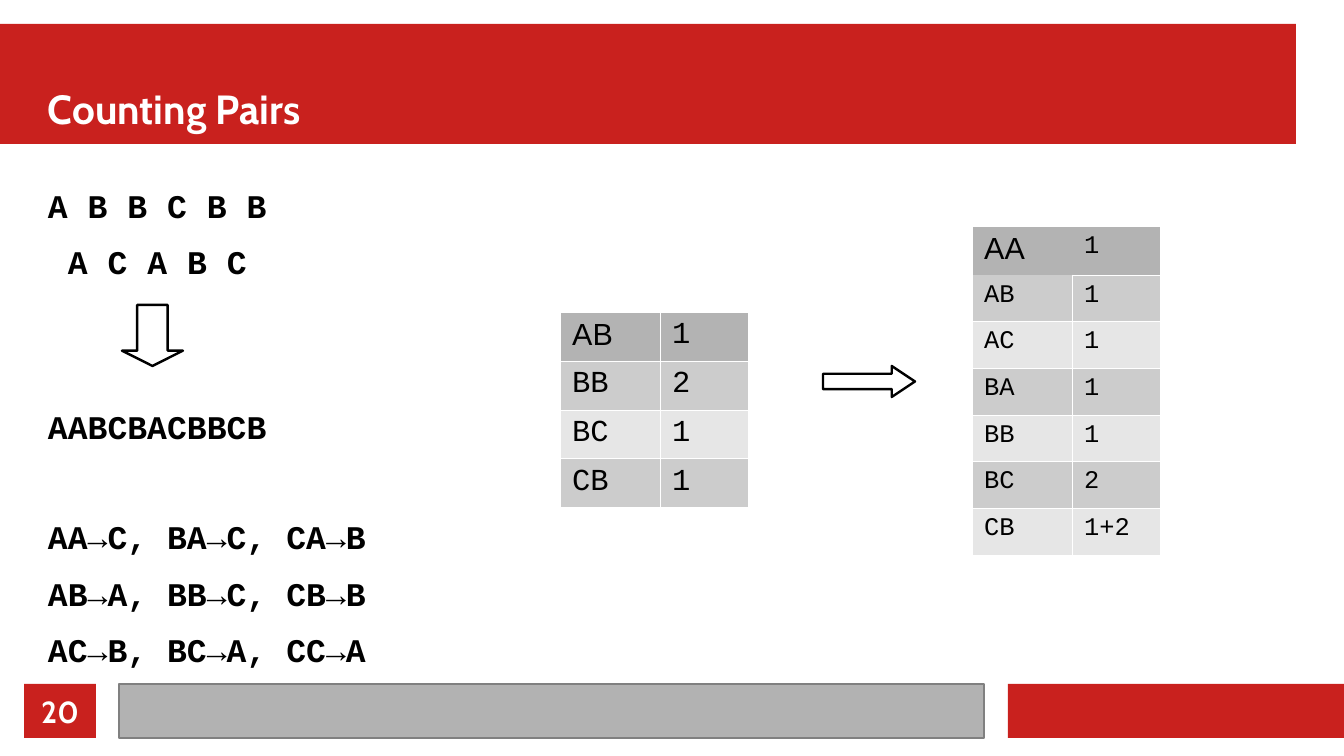
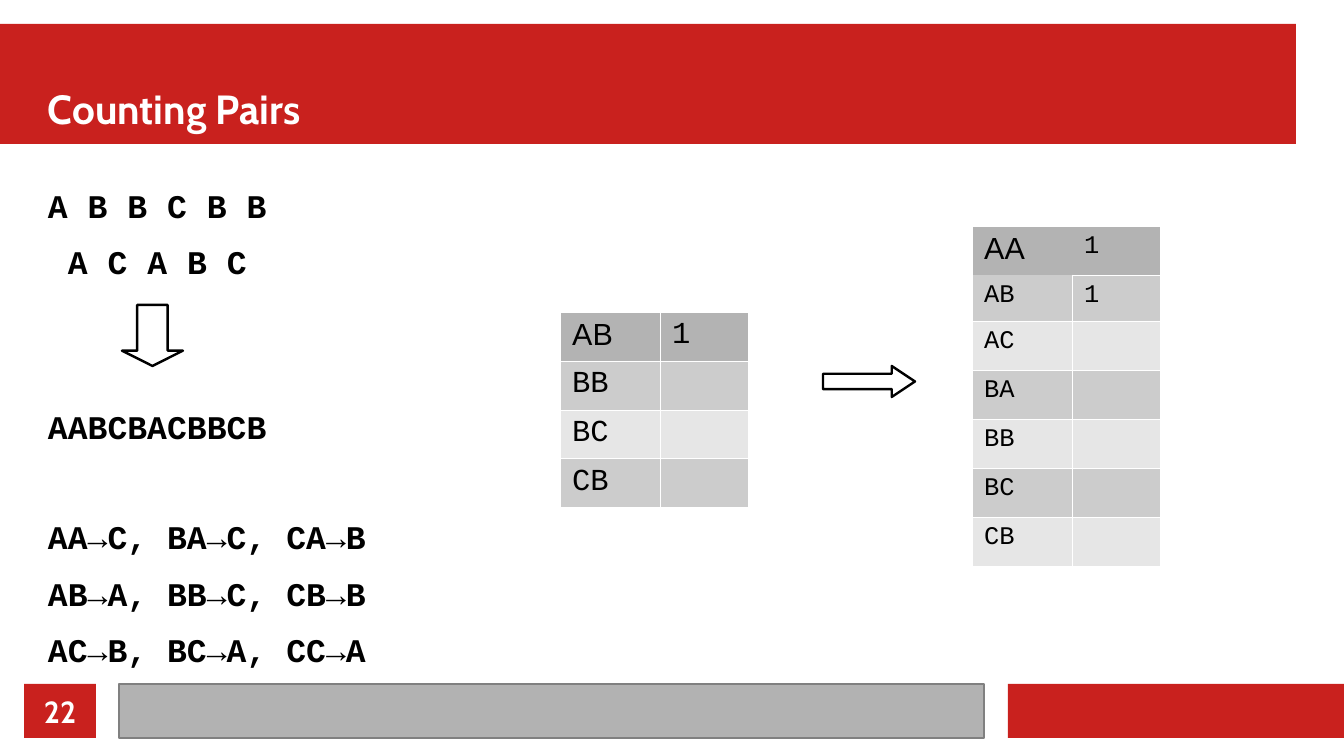
from dataclasses import dataclass

from lxml.etree import SubElement
from pptx import Presentation
from pptx.dml.color import RGBColor as RGB
from pptx.enum.shapes import MSO_SHAPE as SHAPE
from pptx.enum.text import MSO_ANCHOR as ANCHOR, PP_ALIGN as ALIGN
from pptx.oxml.ns import qn
from pptx.util import Pt


@dataclass(frozen=True)
class Theme:
    red: RGB = RGB(0xC9, 0x21, 0x1E)
    gray: RGB = RGB(0xB2, 0xB2, 0xB2)
    gray_edge: RGB = RGB(0x80, 0x80, 0x80)
    head_row: RGB = RGB(0xB3, 0xB3, 0xB3)
    odd_row: RGB = RGB(0xCC, 0xCC, 0xCC)
    even_row: RGB = RGB(0xE6, 0xE6, 0xE6)
    white: RGB = RGB(0xFF, 0xFF, 0xFF)
    black: RGB = RGB(0, 0, 0)
    heading_font: str = "Cabin"
    label_font: str = "Arial"
    code_font: str = "Courier New"
    title_size: float = 24
    code_size: float = 19.5
    large_size: float = 18
    small_size: float = 15


THEME = Theme()
HEADING = dict(name=THEME.heading_font, bold=True, color=THEME.white)
CODE = dict(name=THEME.code_font, size=Pt(THEME.code_size), bold=True, color=THEME.black)


def px(*lengths):
    """Turn pixels, at 122 to the inch, into a list of EMU."""
    return [round(length * 914400 / 122) for length in lengths]


def write(paragraph, text, color, **formats):
    run = paragraph.add_run()
    run.text = text
    run.font.color.rgb = color
    for attribute, value in formats.items():
        setattr(run.font, attribute, value)


# kind, place, adjustments, fill, line colour, line width
SHAPES = [
    (SHAPE.RECTANGLE, (0, 24, 1296, 120), (), THEME.red, None, 0),
    (SHAPE.RECTANGLE, (1008, 684, 336, 54), (), THEME.red, None, 0),
    (SHAPE.RECTANGLE, (119, 684, 865, 54), (), THEME.gray, THEME.gray_edge, 0),
    (SHAPE.RECTANGLE, (24, 684, 72, 54), (), THEME.red, None, 0),
    (SHAPE.RIGHT_ARROW, (823, 366, 92, 31), (0.5, 0.75), THEME.white, THEME.black, 1.42),
    (SHAPE.DOWN_ARROW, (122, 305, 61, 61), (0.5, 0.25), THEME.white, THEME.black, 1.42),
]

# text, space before in points, left margin in pixels
LINE_GAP, BLANK_LINE = 9.9, 32
CODE_LINES = [
    ("A B B C B B", 0, 0),
    ("A C A B C", LINE_GAP, 20),
    ("AABCBACBBCB", LINE_GAP + 2 * BLANK_LINE, 0),
    ("AA→C, BA→C, CA→B", LINE_GAP + BLANK_LINE, 0),
    ("AB→A, BB→C, CB→B", LINE_GAP, 0),
    ("AC→B, BC→A, CC→A", LINE_GAP, 0),
]

# pairs, place, size of code text, sides without border by (row, column)
TABLES = [
    (["AB", "BB", "BC", "CB"], (560, 312, 188, 187), THEME.large_size, {}),
    (["AA", "AB", "AC", "BA", "BB", "BC", "CB"], (972, 226, 188, 327), THEME.small_size,
     {(0, 0): "RB", (0, 1): "L", (1, 0): "T"}),
]
COLUMN_WIDTHS = px(100, 88)

# slide number, counts for each table
SLIDES = [
    ("20", [["1", "2", "1", "1"], ["1", "1", "1", "1", "1", "2", "1+2"]]),
    ("22", [["1", "", "", ""], ["1", "1", "", "", "", "", ""]]),
]

deck = Presentation()
deck.slide_width, deck.slide_height = px(1344, 756)

for number, table_counts in SLIDES:
    slide = deck.slides.add_slide(deck.slide_layouts[6])

    for kind, place, adjustments, fill, edge, width in SHAPES:
        shape = slide.shapes.add_shape(kind, *px(*place))
        shape.shadow.inherit = False
        shape.fill.solid()
        shape.fill.fore_color.rgb = fill
        for index, value in enumerate(adjustments):
            shape.adjustments[index] = value
        if edge is None:
            shape.line.fill.background()
        else:
            shape.line.color.rgb = edge
            shape.line.width = Pt(width)

    frames = []
    for place, anchor in [
        ((48, 36, 1248, 97), ANCHOR.BOTTOM),
        ((48, 185, 349, 464), ANCHOR.TOP),
        ((24, 684, 72, 54), ANCHOR.MIDDLE),
    ]:
        frame = slide.shapes.add_textbox(*px(*place)).text_frame
        frame.word_wrap = True
        frame.vertical_anchor = anchor
        for side in ("left", "top", "right", "bottom"):
            setattr(frame, f"margin_{side}", 0)
        frames.append(frame)
    title, code, page = frames

    write(title.paragraphs[0], "Counting Pairs", size=Pt(THEME.title_size), **HEADING)
    page.paragraphs[0].alignment = ALIGN.CENTER
    write(page.paragraphs[0], number, size=Pt(THEME.large_size), **HEADING)

    for index, (text, before, margin) in enumerate(CODE_LINES):
        line = code.add_paragraph() if index else code.paragraphs[0]
        line.space_before = Pt(before)
        if margin:
            line._p.get_or_add_pPr().set("marL", str(px(margin)[0]))
        write(line, text, **CODE)

    for (pairs, place, code_size, open_sides), counts in zip(TABLES, table_counts):
        table = slide.shapes.add_table(len(pairs), 2, *px(*place)).table
        table.first_row = table.horz_banding = False
        for column, width in zip(table.columns, COLUMN_WIDTHS):
            column.width = width

        for row, entries in enumerate(zip(pairs, counts)):
            band = THEME.odd_row if row % 2 else THEME.even_row
            for column, text in enumerate(entries):
                cell = table.cell(row, column)
                is_label = (row, column) == (0, 0)
                write(cell.text_frame.paragraphs[0], text, THEME.black,
                      name=THEME.label_font if is_label else THEME.code_font,
                      size=Pt(THEME.large_size if is_label else code_size))

                properties = cell._tc.get_or_add_tcPr()
                for side in "LRTB":
                    border = SubElement(properties, qn(f"a:ln{side}"), w="762")
                    if side in open_sides.get((row, column), ""):
                        SubElement(border, qn("a:noFill"))
                    else:
                        paint = SubElement(border, qn("a:solidFill"))
                        SubElement(paint, qn("a:srgbClr"), val=str(THEME.white))
                cell.fill.solid()
                cell.fill.fore_color.rgb = band if row else THEME.head_row

deck.save("out.pptx")
